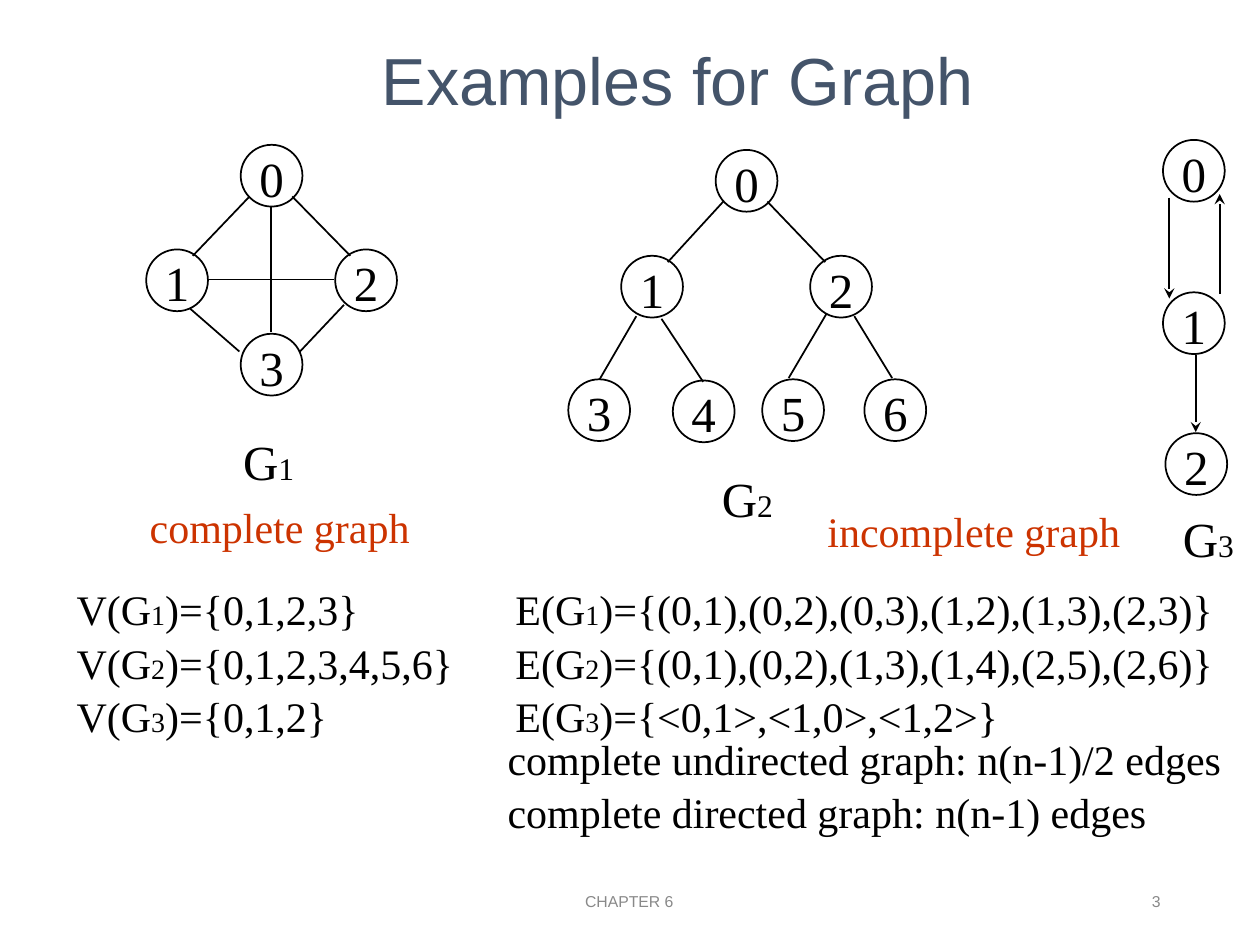
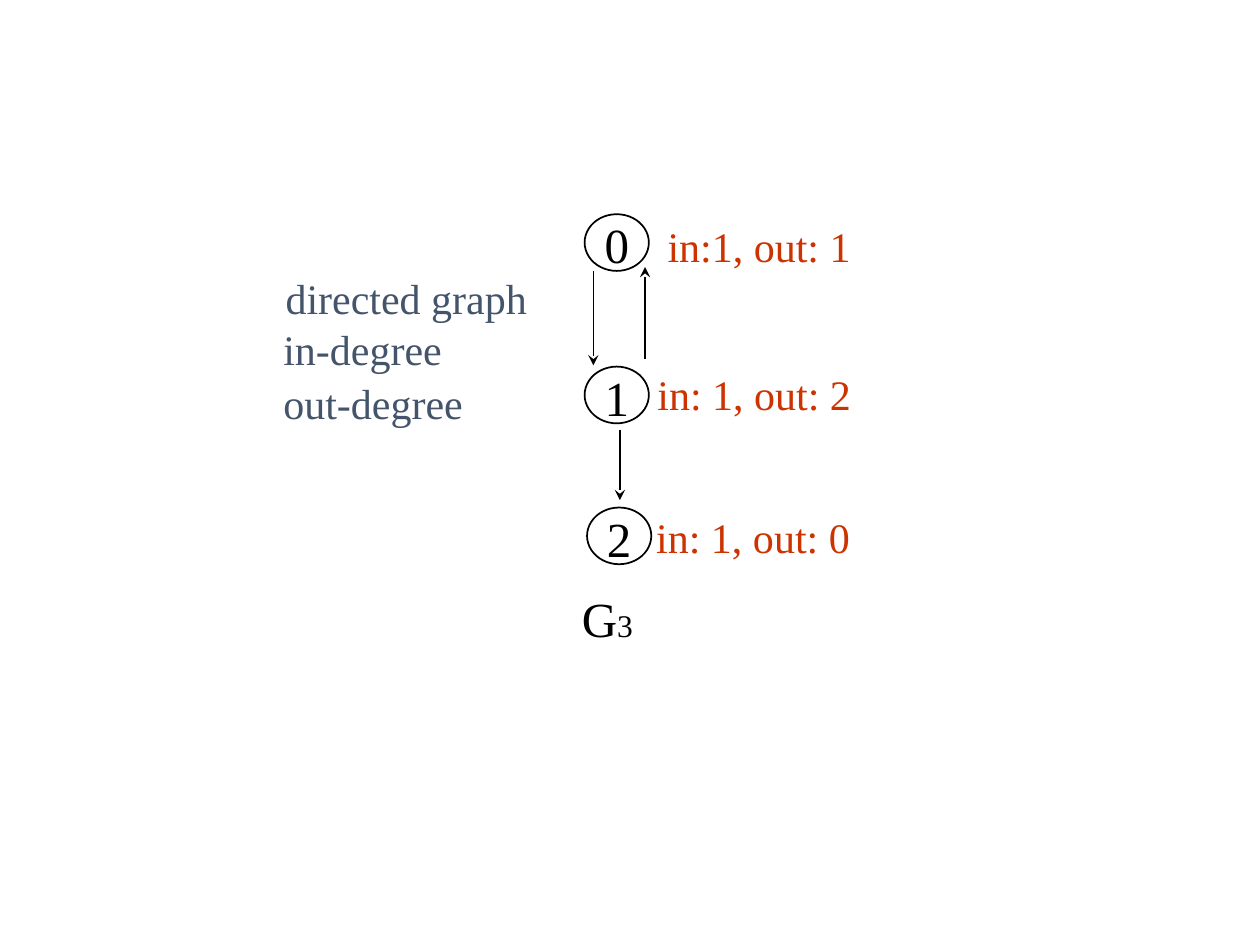
from lxml import etree
from pptx import Presentation
from pptx.dml.color import RGBColor
from pptx.enum.shapes import MSO_CONNECTOR, MSO_SHAPE
from pptx.enum.text import MSO_ANCHOR, PP_ALIGN
from pptx.oxml.ns import qn
from pptx.util import Pt

BLACK = RGBColor(0x00, 0x00, 0x00)
WHITE = RGBColor(0xFF, 0xFF, 0xFF)
SLATE = RGBColor(0x44, 0x54, 0x6A)
RUST = RGBColor(0xCC, 0x33, 0x00)
GREY = RGBColor(0x89, 0x89, 0x89)
SANS, SERIF = "Arial", "Times New Roman"
LEFT, CENTER, RIGHT = PP_ALIGN.LEFT, PP_ALIGN.CENTER, PP_ALIGN.RIGHT
TOP, MIDDLE = MSO_ANCHOR.TOP, MSO_ANCHOR.MIDDLE

NODE_SIZE = 28
BODY_SIZE = 24
SUBSCRIPT_SIZES = {28: 18, 24: 16}
INSET = 7.2
SERIF_SPACING = 1.06
EDGE_SET_TAB = 250.75

G1_NODES = [(155.2, 100.4), (101.2, 160.2), (209.2, 160.2), (155.2, 208.4)]
G1_EDGES = [(155, 118, 155, 190), (119, 159.8, 191, 159.8),
            (142.6, 112.3, 110.2, 146.2), (167, 112.3, 200.2, 146.2),
            (108.7, 176.4, 136.8, 200.9), (196.6, 174.2, 171.4, 200.9)]
G2_NODES = [(426.6, 103.3), (372.6, 163.8), (480.6, 163.8), (342.4, 234.4),
            (402.1, 235.1), (453.2, 234.4), (511.6, 234.4)]
G2_EDGES = [(413.3, 115.2, 381.6, 149.8), (438.5, 115.2, 471.6, 149.8),
            (363.6, 180.7, 342.7, 216.7), (378, 182.2, 401.8, 218.2),
            (472.3, 179.3, 450.7, 216), (488.2, 180.7, 509.8, 216)]
G3_OFFSETS = [(0, 0), (0, 87.1), (1.4, 167.6)]


class GraphDeck:
    """Holds the presentation, its style and the slide being filled."""

    def __init__(self):
        self.presentation = Presentation()
        self.presentation.slide_width = Pt(720)
        self.presentation.slide_height = Pt(540)
        self.slide = None

    def new_slide(self):
        self.slide = self.presentation.slides.add_slide(self.presentation.slide_layouts[6])

    def text(self, box, lines, size=BODY_SIZE, color=BLACK, font=SERIF,
             align=LEFT, anchor=MIDDLE, tab=None):
        """Add lines of text; a character after "_" is set small."""
        frame = self.slide.shapes.add_textbox(*map(Pt, box)).text_frame
        self.fill_frame(frame, lines, size, color, font, align, anchor, tab)

    def fill_frame(self, frame, lines, size, color, font, align, anchor, tab=None):
        frame.word_wrap = True
        frame.vertical_anchor = anchor
        frame.margin_left = Pt(INSET if align == LEFT else 0)
        frame.margin_right = Pt(INSET if align == RIGHT else 0)
        frame.text = "\n".join(lines)
        for paragraph, line in zip(frame.paragraphs, lines):
            paragraph.alignment = align
            if font == SERIF:
                paragraph.line_spacing = SERIF_SPACING
            if tab:
                self.add_tab(paragraph, tab)
            self.split_subscripts(paragraph, line, size)
            for run in paragraph.runs:
                run.font.name = font
                run.font.color.rgb = color

    @staticmethod
    def add_tab(paragraph, position):
        tabs = etree.SubElement(paragraph._p.get_or_add_pPr(), qn("a:tabLst"))
        etree.SubElement(tabs, qn("a:tab"), pos=str(Pt(position)), algn="l")

    @staticmethod
    def split_subscripts(paragraph, line, size):
        head, *rest = line.split("_")
        pieces = [(head, size)]
        for part in rest:
            pieces += [(part[0], SUBSCRIPT_SIZES[size]), (part[1:], size)]
        paragraph.text = head
        paragraph.runs[0].font.size = Pt(size)
        for piece, piece_size in pieces[1:]:
            if piece:
                run = paragraph.add_run()
                run.text = piece
                run.font.size = Pt(piece_size)

    def node(self, label, center, width, height):
        x, y = center
        oval = self.slide.shapes.add_shape(
            MSO_SHAPE.OVAL, Pt(x - width / 2), Pt(y - height / 2), Pt(width), Pt(height))
        oval.shadow.inherit = False
        oval.fill.solid()
        oval.fill.fore_color.rgb = WHITE
        oval.line.color.rgb = BLACK
        oval.line.width = Pt(1)
        frame = oval.text_frame
        self.fill_frame(frame, [str(label)], NODE_SIZE, BLACK, SERIF, CENTER, MIDDLE)
        frame.word_wrap = False

    def edge(self, ends, directed):
        line = self.slide.shapes.add_connector(MSO_CONNECTOR.STRAIGHT, *map(Pt, ends))
        line.line.color.rgb = BLACK
        line.line.width = Pt(1)
        if directed:
            etree.SubElement(line.line._get_or_add_ln(), qn("a:tailEnd"), type="stealth")
        etree.SubElement(line._element.spPr, qn("a:effectLst"))

    def graph(self, centers, edges, width=35.3, height=35.3, directed=False):
        for label, center in enumerate(centers):
            self.node(label, center, width, height)
        for ends in edges:
            self.edge(ends, directed)

    def directed_graph(self, x, y, edges, **size):
        """Draw G3 with node 0 centred at x, y."""
        centers = [(x + dx, y + dy) for dx, dy in G3_OFFSETS]
        self.graph(centers, edges, directed=True, **size)

    def graph_name(self, number, left, top):
        self.text((left, top, 44, 41), [f"G_{number}"], NODE_SIZE, anchor=TOP)

    def footer(self, chapter, number):
        for box, words, align in (((238.3, 500.4, 242.6, 28.8), chapter, CENTER),
                                  ((508.3, 500.4, 162, 28.8), number, RIGHT)):
            self.text(box, [words], 9, GREY, SANS, align)


def examples_slide(deck):
    deck.new_slide()
    deck.footer("CHAPTER 6", "3")
    deck.text((54.7, 0, 665.3, 90), ["Examples for Graph"], 38, SLATE, SANS, CENTER)
    deck.graph(G1_NODES, G1_EDGES)
    deck.directed_graph(682.2, 97.6, [(683.3, 203, 683.3, 247),
                                      (697, 167.8, 697, 110.9),
                                      (668.2, 113, 668.2, 170.6)])
    deck.graph(G2_NODES, G2_EDGES)
    for number, left, top in ((1, 131.8, 241.2), (2, 405.4, 262.1), (3, 668.9, 285.1)):
        deck.graph_name(number, left, top)
    deck.text((36.7, 328.3, 664.6, 93.6),
              ["V(G_1)={0,1,2,3}\tE(G_1)={(0,1),(0,2),(0,3),(1,2),(1,3),(2,3)}",
               "V(G_2)={0,1,2,3,4,5,6}\tE(G_2)={(0,1),(0,2),(1,3),(1,4),(2,5),(2,6)}",
               "V(G_3)={0,1,2}\tE(G_3)={<0,1>,<1,0>,<1,2>}"],
              anchor=TOP, tab=EDGE_SET_TAB)
    deck.text((283, 415.4, 421.9, 64.8),
              ["complete undirected graph: n(n-1)/2 edges",
               "complete directed graph: n(n-1) edges"])
    deck.text((78.5, 282.2, 162.7, 36), ["complete graph"], color=RUST, align=CENTER)
    deck.text((465.8, 284.4, 181.4, 36), ["incomplete graph"], color=RUST, align=CENTER)


def degrees_slide(deck):
    deck.new_slide()
    deck.text((152.6, 151.2, 159.1, 36), ["directed graph"], color=SLATE, align=CENTER)
    deck.text((154.8, 181.4, 122.4, 64.8), ["in-degree", "out-degree"], color=SLATE)
    deck.directed_graph(352.4, 138.6, [(354.2, 245.5, 354.2, 285.8),
                                       (368.6, 205.2, 368.6, 152.6),
                                       (339.1, 154.8, 339.1, 208.8)],
                        width=36.7, height=32.4)
    deck.graph_name(3, 325.4, 330.5)
    for degrees, left, top in (("in:1, out: 1", 374.4, 121.7),
                               ("in: 1, out: 2", 368.6, 205.9),
                               ("in: 1, out: 0", 367.9, 288)):
        deck.text((left, top, 130, 36), [degrees], color=RUST)


def main():
    deck = GraphDeck()
    examples_slide(deck)
    degrees_slide(deck)
    deck.presentation.save("out.pptx")


if __name__ == "__main__":
    main()
